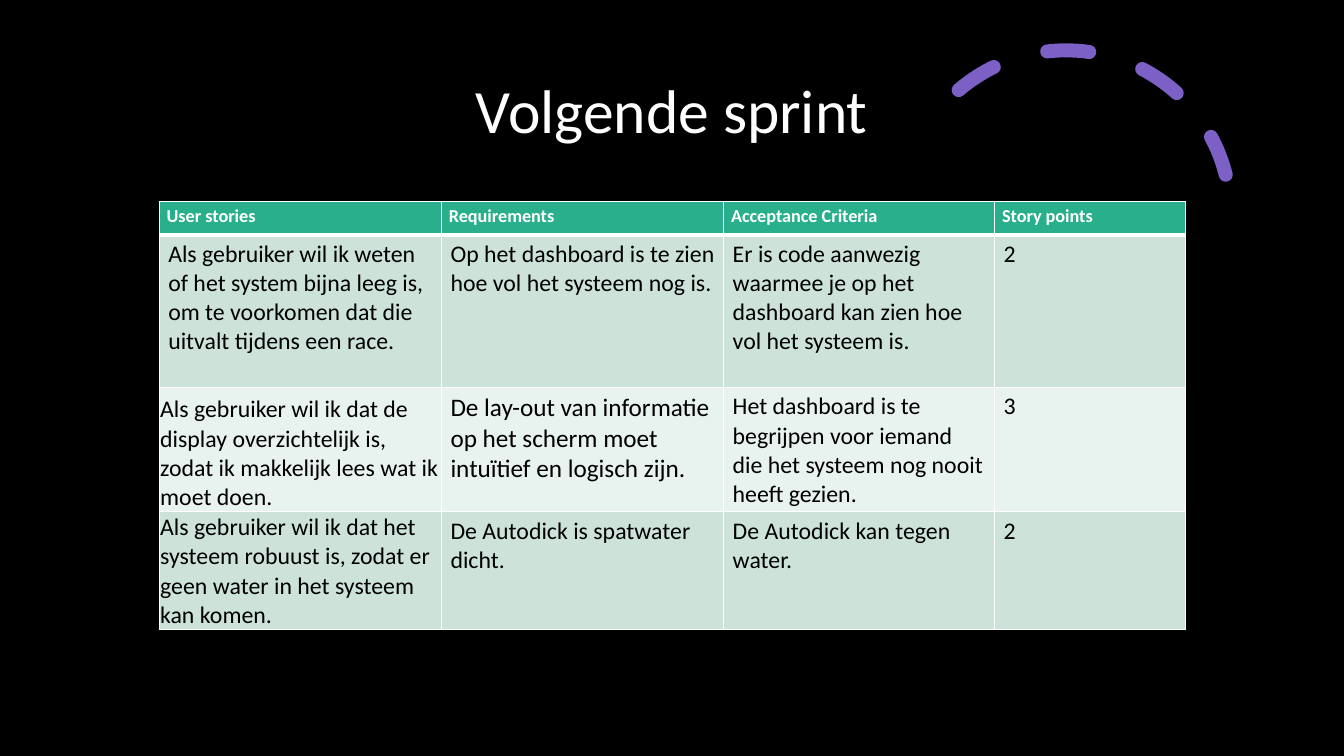
from dataclasses import dataclass
from lxml.etree import SubElement
from pptx import Presentation
from pptx.dml.color import RGBColor as Rgb
from pptx.enum.dml import MSO_LINE as Dash
from pptx.enum.shapes import MSO_SHAPE as Shape
from pptx.enum.text import MSO_ANCHOR as Anchor, PP_ALIGN as Align
from pptx.oxml.ns import qn
from pptx.util import Emu, Pt


@dataclass(frozen=True)
class Theme:
    font: str = "Calibri"
    back: str = "000000"
    ink: str = "000000"
    light: str = "FFFFFF"
    arc: str = "7C60C6"
    head: str = "29AF8C"
    odd: str = "CDE3DA"
    even: str = "E8F2EE"
    title: int = 44
    label: int = 13
    body: int = 17
    large: int = 18
    stroke: int = 10
    rule: int = 1
    thick: int = 3


THEME = Theme()
UNIT = 254000
COLS, ROWS = 48, 27
WIDTHS = (10.08, 10.08, 9.68, 6.81)
HEIGHTS = (1.19, 5.44, 4.14, 4.21)
HEAD_PAD = (0.26, 0.14, 0.26, 0.14)
BODY_PAD = (0.32, 0.18, 0.32, 0.18)
TIGHT_PAD = (0.03, 0.03, 0.03, 0)
STORIES = (
    ("User stories", "Requirements", "Acceptance Criteria", "Story points"),
    ("Als gebruiker wil ik weten of het system bijna leeg is, om te voorkomen "
     "dat die uitvalt tijdens een race.",
     "Op het dashboard is te zien hoe vol het systeem nog is.",
     "Er is code aanwezig waarmee je op het dashboard kan zien hoe vol het "
     "systeem is.",
     "2"),
    ("Als gebruiker wil ik dat de display overzichtelijk is, zodat ik "
     "makkelijk lees wat ik moet doen.",
     "De lay-out van informatie op het scherm moet intuïtief en logisch zijn.",
     "Het dashboard is te begrijpen voor iemand die het systeem nog nooit "
     "heeft gezien.",
     "3"),
    ("Als gebruiker wil ik dat het systeem robuust is, zodat er geen water in "
     "het systeem kan komen.",
     "De Autodick is spatwater dicht.",
     "De Autodick kan tegen water.",
     "2"),
)


def grid(*steps):
    return [Emu(round(step * UNIT)) for step in steps]


def paint(fill, color):
    fill.solid()
    fill.fore_color.rgb = Rgb.from_string(color)


def write(frame, text, size, color, bold=False):
    frame.text = text
    font = frame.paragraphs[0].runs[0].font
    font.name, font.size, font.bold = THEME.font, Pt(size), bold
    font.color.rgb = Rgb.from_string(color)


def pad(item, sides):
    (item.margin_left, item.margin_top,
     item.margin_right, item.margin_bottom) = grid(*sides)


def add_arc(slide):
    arc = slide.shapes.add_shape(Shape.ARC, *grid(32.19, 1.8, 11.77, 11.77))
    arc.shadow.inherit = False
    arc.rotation = 345.8
    arc.adjustments[0], arc.adjustments[1] = 146.13, 0
    arc.fill.background()
    paint(arc.line.fill, THEME.arc)
    arc.line.width = Pt(THEME.stroke)
    arc.line.dash_style = Dash.DASH
    arc.line._get_or_add_ln().set("cap", "rnd")


def add_title(slide, text):
    frame = slide.shapes.add_textbox(*grid(3.3, 1.44, 41.4, 5.22)).text_frame
    frame.word_wrap = True
    frame.vertical_anchor = Anchor.MIDDLE
    write(frame, text, THEME.title, THEME.light)
    frame.paragraphs[0].alignment = Align.CENTER
    frame.paragraphs[0].line_spacing = 0.9


def edge(cell, base):
    props = cell._tc.get_or_add_tcPr()
    sides = (("L", THEME.rule), ("R", THEME.rule), ("T", THEME.rule), ("B", base))
    for spot, (side, width) in enumerate(sides):
        line = props.makeelement(qn(f"a:ln{side}"), {"w": str(Pt(width))})
        fill = SubElement(line, qn("a:solidFill"))
        SubElement(fill, qn("a:srgbClr"), val=THEME.light)
        props.insert(spot, line)


def fill_cell(cell, text, row, col):
    head, tight = row == 0, row > 1 and col == 0
    size = THEME.large if (row, col) == (2, 1) else THEME.body
    pad(cell, HEAD_PAD if head else TIGHT_PAD if tight else BODY_PAD)
    cell.vertical_anchor = Anchor.BOTTOM if tight else Anchor.TOP
    if head:
        write(cell.text_frame, text, THEME.label, THEME.light, True)
        paint(cell.fill, THEME.head)
    else:
        write(cell.text_frame, text, size, THEME.ink)
        paint(cell.fill, THEME.odd if row % 2 else THEME.even)
    edge(cell, THEME.thick if head else THEME.rule)


def add_stories(slide):
    area = grid(5.69, 7.2, sum(WIDTHS), sum(HEIGHTS))
    table = slide.shapes.add_table(len(HEIGHTS), len(WIDTHS), *area).table
    for col, width in zip(table.columns, grid(*WIDTHS)):
        col.width = width
    for row, height in zip(table.rows, grid(*HEIGHTS)):
        row.height = height
    for row, texts in enumerate(STORIES):
        for col, text in enumerate(texts):
            fill_cell(table.cell(row, col), text, row, col)


def main():
    deck = Presentation()
    deck.slide_width, deck.slide_height = grid(COLS, ROWS)
    slide = deck.slides.add_slide(deck.slide_layouts[6])
    paint(slide.background.fill, THEME.back)
    add_arc(slide)
    add_title(slide, "Volgende sprint")
    add_stories(slide)
    deck.save("out.pptx")


if __name__ == "__main__":
    main()
